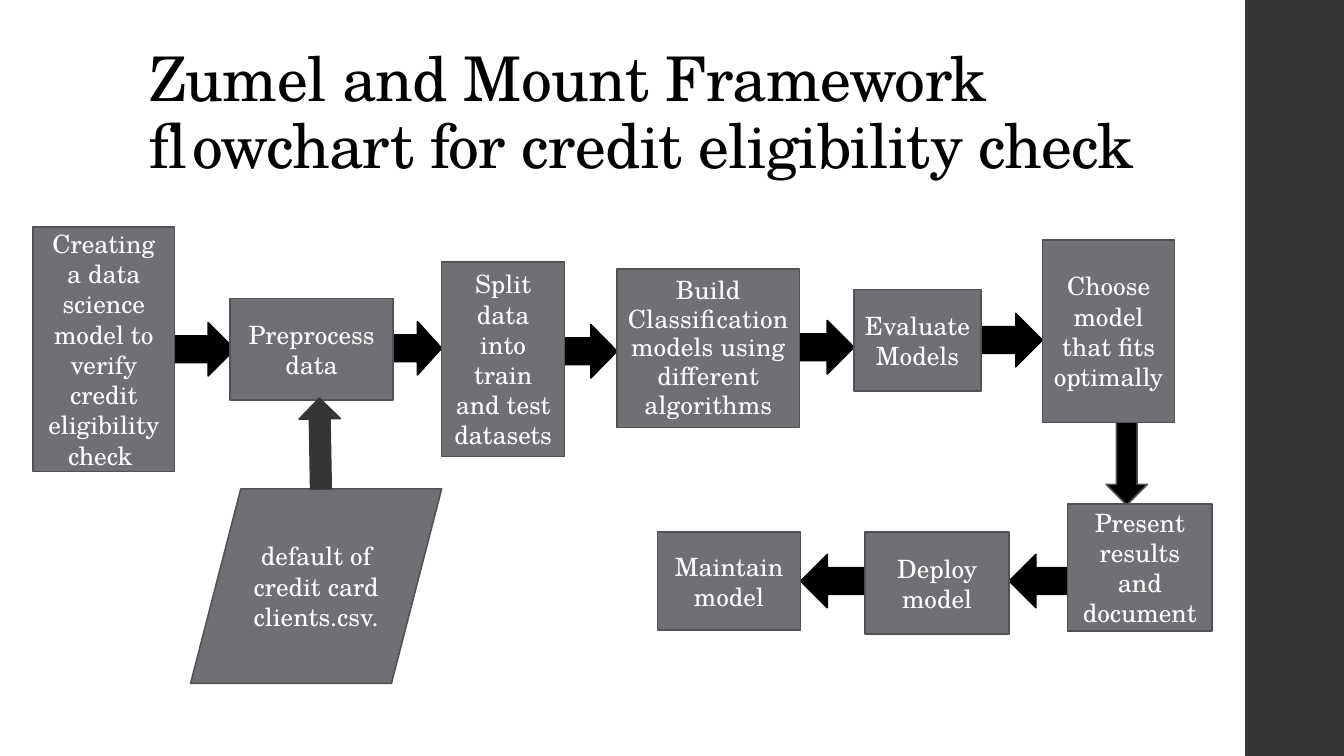
"""Build the credit eligibility flowchart slide."""
import pptx
import pptx.dml.color
import pptx.enum.shapes
import pptx.enum.text
import pptx.util

Inches = pptx.util.Inches
Pt = pptx.util.Pt
SHAPES = pptx.enum.shapes.MSO_SHAPE
ANCHOR = pptx.enum.text.MSO_ANCHOR
CENTER = pptx.enum.text.PP_ALIGN.CENTER

FONT = "TeX Gyre Schola"
BLACK, WHITE, GRAY, DARK, EDGE = "000000", "FFFFFF", "6F6F74", "353537", "525256"
TITLE = "Zumel and Mount Framework flowchart for credit eligibility check"
TITLE_AREA = (1.38, 0.4, 10.6, 1.45)
SIDEBAR = (12.35, 0, 1, 7.5)

STEPS = {
    "goal": ("Creating a data science model to verify credit eligibility check ",
             (0.33, 2.25, 1.4, 2.43)),
    "preprocess": ("Preprocess data", (2.28, 2.96, 1.62, 1.01)),
    "split": ("Split data into train and test datasets", (4.38, 2.6, 1.22, 1.93)),
    "build": ("Build Classification models using different algorithms",
              (6.12, 2.67, 1.81, 1.57)),
    "evaluate": ("Evaluate Models", (8.47, 2.87, 1.26, 1.01)),
    "choose": ("Choose model that fits optimally", (10.34, 2.38, 1.31, 1.81)),
    "present": ("Present results and document", (10.59, 5, 1.43, 1.26)),
    "deploy": ("Deploy model", (8.58, 5.28, 1.43, 1.01)),
    "maintain": ("Maintain model", (6.52, 5.28, 1.42, 0.97)),
}
DATA_SOURCE = ("default of credit card clients.csv.", (1.89, 4.85, 2.49, 1.93))

# source, target, top, overlap into the target
SIDE_ARROWS = [
    ("goal", "preprocess", 3.2, 0.05),
    ("preprocess", "split", 3.19, 0),
    ("split", "build", 3.22, 0),
    ("build", "evaluate", 3.18, 0),
    ("evaluate", "choose", 3.11, 0),
    ("present", "deploy", 5.5, 0),
    ("deploy", "maintain", 5.5, 0),
]
SIDE_ARROW_HEIGHT = 0.53
CHOOSE_ARROW = (10.97, 3.75, 0.41, 1.26)
DATA_ARROW = (2.97, 3.95, 0.41, 0.9)


def color(value):
    return pptx.dml.color.RGBColor.from_string(value)


def add_shape(slide, kind, area, fill, edge=None):
    shape = slide.shapes.add_shape(kind, *map(Inches, area))
    shape.shadow.inherit = False
    shape.fill.solid()
    shape.fill.fore_color.rgb = color(fill)
    if edge:
        shape.line.color.rgb = color(edge)
        shape.line.width = Pt(1.1)
    else:
        shape.line.fill.background()
    return shape


def write(shape, text, size, text_color, anchor, spacing=0):
    frame = shape.text_frame
    frame.word_wrap = True
    frame.vertical_anchor = anchor
    frame.text = text
    paragraph = frame.paragraphs[0]
    run = paragraph.runs[0]
    run.font.name = FONT
    run.font.size = Pt(size)
    run.font.color.rgb = color(text_color)
    if spacing:
        run._r.get_or_add_rPr().set("spc", str(spacing))
    return paragraph


def add_step(slide, kind, text, area, spacing=0):
    shape = add_shape(slide, kind, area, GRAY, EDGE)
    paragraph = write(shape, text, 18, WHITE, ANCHOR.MIDDLE, spacing)
    paragraph.alignment = CENTER
    return paragraph


def add_side_arrow(slide, source, target, top, overlap):
    source_left, _, source_width, _ = STEPS[source][1]
    target_left, _, target_width, _ = STEPS[target][1]
    if source_left < target_left:
        kind, start, end = SHAPES.RIGHT_ARROW, source_left + source_width, target_left + overlap
    else:
        kind, start, end = SHAPES.LEFT_ARROW, target_left + target_width - overlap, source_left
    add_shape(slide, kind, (start, top, end - start, SIDE_ARROW_HEIGHT), BLACK, BLACK)


def main():
    presentation = pptx.Presentation()
    presentation.slide_width = Inches(13.33)
    presentation.slide_height = Inches(7.5)
    slide = presentation.slides.add_slide(presentation.slide_layouts[6])

    add_shape(slide, SHAPES.RECTANGLE, SIDEBAR, DARK)
    title = slide.shapes.add_textbox(*map(Inches, TITLE_AREA))
    write(title, TITLE, 44, BLACK, ANCHOR.BOTTOM, -50).line_spacing = 0.9

    for arrow in SIDE_ARROWS:
        add_side_arrow(slide, *arrow)
    add_shape(slide, SHAPES.DOWN_ARROW, CHOOSE_ARROW, BLACK, EDGE)

    for name, (text, area) in STEPS.items():
        paragraph = add_step(slide, SHAPES.FLOWCHART_PROCESS, text, area,
                             10 if name == "build" else 0)
        if name == "build":
            paragraph.line_spacing = 0.95
    add_step(slide, SHAPES.FLOWCHART_DATA, *DATA_SOURCE)
    data_arrow = add_shape(slide, SHAPES.DOWN_ARROW, DATA_ARROW, DARK, DARK)
    data_arrow.rotation = 179

    presentation.save("out.pptx")


if __name__ == "__main__":
    main()
